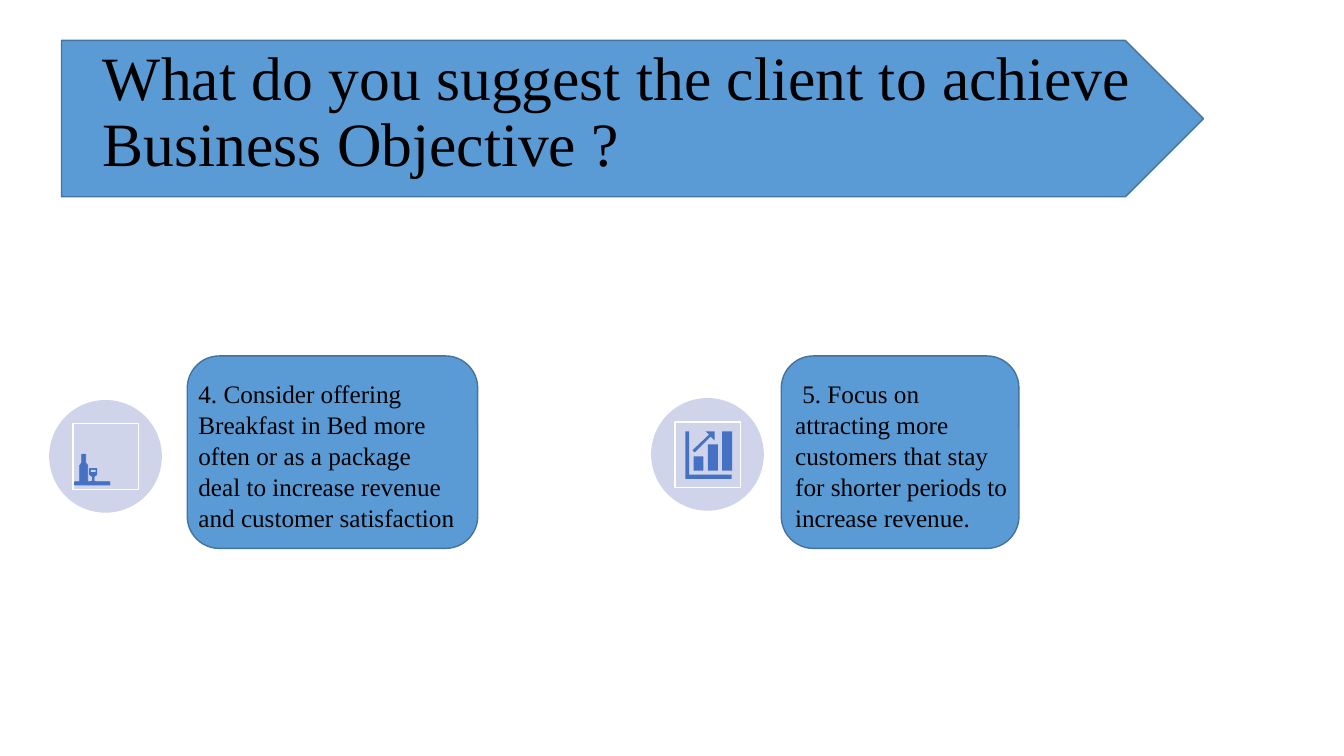
from pptx import Presentation
from pptx.dml.color import RGBColor
from pptx.enum.shapes import MSO_SHAPE
from pptx.enum.text import MSO_ANCHOR, MSO_AUTO_SIZE, PP_ALIGN
from pptx.util import Cm, Pt

ROUNDED, PENTAGON = MSO_SHAPE.ROUNDED_RECTANGLE, MSO_SHAPE.PENTAGON
OVAL, RECTANGLE = MSO_SHAPE.OVAL, MSO_SHAPE.RECTANGLE
LEFT, MIDDLE, TOP = PP_ALIGN.LEFT, MSO_ANCHOR.MIDDLE, MSO_ANCHOR.TOP
FIXED = MSO_AUTO_SIZE.NONE

COLORS = {
    "panel": "5B9BD5",
    "panel_edge": "43739E",
    "disc": "CFD4EA",
    "icon": "4471C4",
    "frame": "FFFFFF",
    "text": "000000",
}
TITLE_FORMAT = {"name": "Times New Roman", "size": Pt(44)}
BODY_FORMAT = {"name": "Times New Roman", "size": Pt(18)}


class SlideBuilder:
    """Draws styled elements, measured in centimetres, on one slide."""

    def __init__(self, deck):
        self.slide = deck.slides.add_slide(deck.slide_layouts[5])
        self.shapes = self.slide.shapes

    def paint(self, shape, fill=None, line=None, weight=1):
        shape.shadow.inherit = False
        if fill:
            shape.fill.solid()
            shape.fill.fore_color.rgb = RGBColor.from_string(COLORS[fill])
        else:
            shape.fill.background()
        if line:
            shape.line.color.rgb = RGBColor.from_string(COLORS[line])
            shape.line.width = Pt(weight)
        else:
            shape.line.fill.background()

    def block(self, preset, box, **look):
        shape = self.shapes.add_shape(preset, *map(Cm, box))
        self.paint(shape, **look)

    def outline(self, points, **look):
        grid = [(round(x * 100), round(y * 100)) for x, y in points]
        builder = self.shapes.build_freeform(*grid[0], scale=Cm(0.01))
        builder.add_line_segments(grid[1:], close=True)
        self.paint(builder.convert_to_shape(), **look)

    def set_text(self, frame, text, font_format, spacing, anchor):
        for key, value in {"word_wrap": True, "auto_size": FIXED, "vertical_anchor": anchor}.items():
            setattr(frame, key, value)
        frame.text = text
        paragraph = frame.paragraphs[0]
        paragraph.alignment = LEFT
        paragraph.line_spacing = spacing
        for key, value in font_format.items():
            setattr(paragraph.font, key, value)
        paragraph.font.color.rgb = RGBColor.from_string(COLORS["text"])
        return paragraph

    def title(self, text, box):
        heading = self.shapes.title
        for key, value in zip(("left", "top", "width", "height"), box):
            setattr(heading, key, Cm(value))
        self.set_text(heading.text_frame, text, TITLE_FORMAT, 0.9, MIDDLE)
        heading.element.getparent().append(heading.element)

    def advice(self, text, box, first_indent=0.0):
        frame = self.shapes.add_textbox(*map(Cm, box)).text_frame
        paragraph = self.set_text(frame, text, BODY_FORMAT, 1.02, TOP)
        properties = paragraph._p.get_or_add_pPr()
        properties.set("marL", str(Cm(0.03)))
        properties.set("indent", str(Cm(first_indent)))

    def badge(self, left, top):
        self.block(OVAL, (left, top, 2.84, 2.84), fill="disc")

    def badge_frame(self, left, top):
        self.block(RECTANGLE, (left + 0.6, top + 0.6, 1.65, 1.65), line="frame")

    def breakfast_icon(self):
        look = {"fill": "icon", "line": "icon", "weight": 0.56}
        bottle = [(2.06, 11.45), (2.16, 11.45), (2.16, 11.66), (2.21, 11.73),
                  (2.21, 12.14), (2.01, 12.14), (2.01, 11.73), (2.06, 11.66)]
        glass = [(2.26, 11.81), (2.44, 11.81), (2.44, 11.96), (2.37, 12.01),
                 (2.37, 12.12), (2.42, 12.14), (2.28, 12.14), (2.33, 12.12),
                 (2.33, 12.01), (2.26, 11.96)]
        for points in (bottle, glass):
            self.outline(points, **look)
        self.block(RECTANGLE, (2.29, 11.84, 0.12, 0.05), fill="disc")
        self.block(ROUNDED, (1.88, 12.14, 0.89, 0.08), **look)

    def growth_icon(self):
        for step, height in enumerate((0.36, 0.66, 0.99)):
            bar = (17.48 + step * 0.36, 11.86 - height, 0.25, height)
            self.block(RECTANGLE, bar, fill="icon")
        axes = [(17.27, 10.87), (17.37, 10.87), (17.37, 11.96),
                (18.44, 11.96), (18.44, 12.07), (17.27, 12.07)]
        arrow = [(17.78, 10.87), (18.01, 10.87), (18.01, 11.1), (17.91, 11),
                 (17.51, 11.4), (17.45, 11.35), (17.87, 10.95)]
        for points in (axes, arrow):
            self.outline(points, fill="icon")


def main():
    deck = Presentation()
    deck.slide_width, deck.slide_height = Cm(33.87), Cm(19.05)
    page = SlideBuilder(deck)

    panels = [
        (ROUNDED, (4.72, 8.97, 7.32, 4.85)),
        (ROUNDED, (19.69, 8.97, 5.99, 4.85)),
        (PENTAGON, (1.55, 1.02, 28.78, 3.94)),
    ]
    for preset, box in panels:
        page.block(preset, box, fill="panel", line="panel_edge")

    page.title("What do you suggest the client to achieve Business Objective ?",
               (2.34, 1.02, 29.21, 3.68))
    page.advice("4. Consider offering Breakfast in Bed more often or as a package deal "
                "to increase revenue and customer satisfaction", (4.72, 9.4, 7, 4.14))
    page.advice("5. Focus on attracting more customers that stay for shorter periods "
                "to increase revenue.", (19.76, 9.4, 6.05, 4.19), 0.18)

    badges = [(1.24, 10.08, page.breakfast_icon), (16.41, 10.03, page.growth_icon)]
    for left, top, draw_icon in badges:
        page.badge(left, top)
        draw_icon()
        page.badge_frame(left, top)

    deck.save("out.pptx")


if __name__ == "__main__":
    main()
